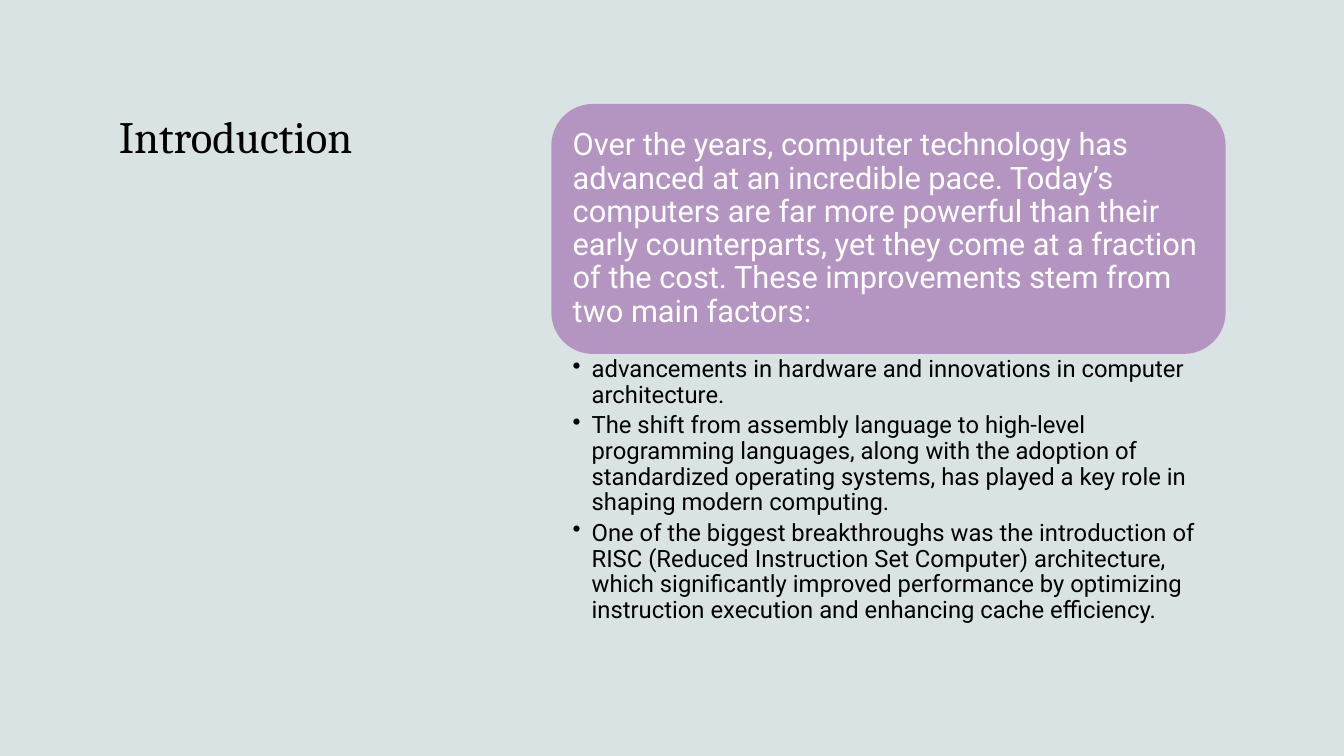
from lxml.etree import SubElement
from pptx import Presentation
from pptx.dml.color import RGBColor
from pptx.enum.shapes import MSO_SHAPE
from pptx.enum.text import MSO_ANCHOR
from pptx.oxml.ns import qn
from pptx.util import Pt

INTRO = (
    "Over the years, computer technology has advanced at an incredible pace. "
    "Today’s computers are far more powerful than their early counterparts, "
    "yet they come at a fraction of the cost. "
    "These improvements stem from two main factors:"
)
FACTORS = [
    "advancements in hardware and innovations in computer architecture.",
    "The shift from assembly language to high-level programming languages, "
    "along with the adoption of standardized operating systems, "
    "has played a key role in shaping modern computing.",
    "One of the biggest breakthroughs was the introduction of RISC "
    "(Reduced Instruction Set Computer) architecture, which significantly "
    "improved performance by optimizing instruction execution "
    "and enhancing cache efficiency.",
]


def color(code):
    return RGBColor.from_string(code)


def write(para, text, font="Roboto", size=17, ink="000000", line=1.0, after=0):
    para.line_spacing = line
    para.space_after = Pt(after)
    run = para.add_run()
    run.text = text
    run.font.name = font
    run.font.size = Pt(size)
    run.font.color.rgb = color(ink)


def bullet(para, indent):
    props = para._p.get_or_add_pPr()
    props.set("marL", str(Pt(indent)))
    props.set("indent", str(-Pt(indent)))
    SubElement(props, qn("a:buChar"), char="•")


class Deck:
    ground = "DAE3E3"
    accent = "B495C2"

    def __init__(self, width, height):
        self.file = Presentation()
        self.file.slide_width = Pt(width)
        self.file.slide_height = Pt(height)
        self.slide = self.file.slides.add_slide(self.file.slide_layouts[6])
        fill = self.slide.background.fill
        fill.solid()
        fill.fore_color.rgb = color(self.ground)

    def card(self, box):
        shape = self.slide.shapes.add_shape(
            MSO_SHAPE.ROUNDED_RECTANGLE, *map(Pt, box))
        shape.shadow.inherit = False
        shape.fill.solid()
        shape.fill.fore_color.rgb = color(self.accent)
        shape.line.fill.background()

    def text(self, box, lines, inset=(7.2, 3.6, 7.2, 3.6),
             anchor=MSO_ANCHOR.TOP, indent=0, **style):
        """Add a text box; inset is left, top, right, bottom."""
        frame = self.slide.shapes.add_textbox(*map(Pt, box)).text_frame
        frame.word_wrap = True
        frame.vertical_anchor = anchor
        (frame.margin_left, frame.margin_top,
         frame.margin_right, frame.margin_bottom) = map(Pt, inset)
        for i, line in enumerate(lines):
            para = frame.add_paragraph() if i else frame.paragraphs[0]
            write(para, line, **style)
            if indent:
                bullet(para, indent)


def main():
    deck = Deck(960, 540)
    left, top, width, tall = 393.8, 74.2, 481.7, 178.6
    pad = 8.7
    deck.text((77.8, top, 277.9, 143.3), ["Introduction"],
              font="Cambria", size=32)
    deck.card((left, top, width, tall))
    deck.text((left + pad, top + pad, width - 2 * pad, tall - 2 * pad),
              [INTRO], inset=(6.6,) * 4, anchor=MSO_ANCHOR.MIDDLE,
              size=22, ink="FFFFFF", line=0.9)
    deck.text((left, top + tall, width, 200.9), FACTORS,
              inset=(15.3, 2.2, 12.3, 2.2), indent=13.5,
              line=0.9, after=3.4)
    deck.file.save("out.pptx")


if __name__ == "__main__":
    main()
